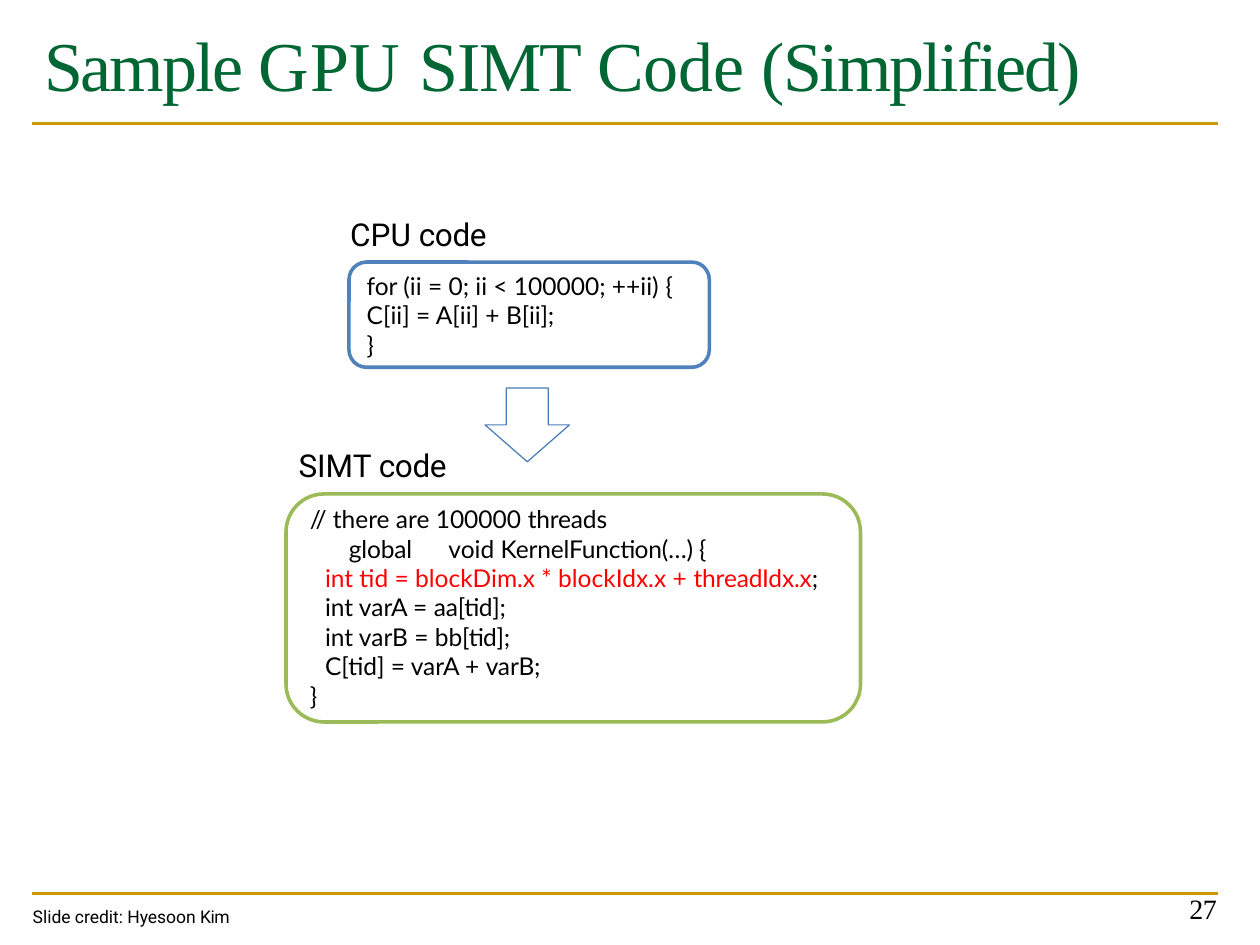
import dataclasses
import typing

import pptx
import pptx.dml.color
import pptx.enum.shapes
import pptx.oxml
import pptx.oxml.ns
import pptx.util

RGB = pptx.dml.color.RGBColor
SHAPE = pptx.enum.shapes.MSO_SHAPE
Pt = pptx.util.Pt
BLACK = RGB(0x00, 0x00, 0x00)
RED = RGB(0xFF, 0x00, 0x00)
GREEN = RGB(0x00, 0x66, 0x33)
GOLD = RGB(0xCC, 0x99, 0x00)
BLUE_EDGE = RGB(0x4F, 0x81, 0xBC)
GREEN_EDGE = RGB(0x9B, 0xBA, 0x58)
ARROW_EDGE = RGB(0x49, 0x7D, 0xBA)
CELL = pptx.util.Inches(0.1)  # grid of 100 columns by 75 rows


class Area(typing.NamedTuple):
    """Left, top, width and height in grid cells."""
    left: float
    top: float
    width: float
    height: float


class Style(typing.NamedTuple):
    name: str
    size: float
    color: RGB = BLACK


class Span(typing.NamedTuple):
    text: str
    spacing: float = 0
    color: typing.Optional[RGB] = None


@dataclasses.dataclass
class Line:
    spans: list[Span]
    style: Style
    indent: float = 0.1
    before: float = 0
    line_spacing: typing.Optional[float] = None
    tabs: tuple[float, ...] = ()


@dataclasses.dataclass
class TextBlock:
    area: Area
    lines: list[Line]
    top_inset: float = 0
    wrap: bool = False


@dataclasses.dataclass
class Outline:
    kind: SHAPE
    area: Area
    color: RGB
    weight: float


TITLE = Style("Times New Roman", 40, GREEN)
NUMBER = Style("Times New Roman", 16)
LABEL = Style("Roboto", 18)
CREDIT = Style("Roboto", 10)
CODE = Style("Lato", 14)

RULE_ROWS = (9.8, 70.9)
RULE_COLUMNS = (2.5, 96.7)

OUTLINES = [
    Outline(SHAPE.ROUNDED_RECTANGLE, Area(27.7, 20.8, 28.6, 8.35), BLUE_EDGE, 2.04),
    Outline(SHAPE.ROUNDED_RECTANGLE, Area(22.7, 39.2, 45.6, 18.1), GREEN_EDGE, 2.04),
    Outline(SHAPE.DOWN_ARROW, Area(38.5, 30.8, 6.7, 5.85), ARROW_EDGE, 0.72),
]

BLOCKS = [
    TextBlock(Area(3.4, 1.6, 93.3, 6.9), [
        Line([Span("Sample ", -1.2), Span("GPU ", 0.5), Span("SIMT ", -0.8),
              Span("Code ", -0.1), Span("(Simplified)", -1.2)], TITLE),
    ], top_inset=0.1, wrap=True),
    TextBlock(Area(27.7, 15.2, 28.3, 13.4), [
        Line([Span("CPU "), Span("code", -0.2)], LABEL),
        Line([Span("for (ii = 0; ii < 100000; ++ii) "), Span("{", -0.5)], CODE, 1.4, before=10),
        Line([Span("C[ii] = A[ii] + "), Span("B[ii];", -0.1)], CODE, 1.4),
        Line([Span("}", -0.5)], CODE, 1.4),
    ], top_inset=1.9),
    TextBlock(Area(23.6, 35.3, 43.6, 21.2), [
        Line([Span("SIMT "), Span("code", -0.2)], LABEL),
        Line([Span("// there are 100000 "), Span("threads", -0.1)], CODE, 1, before=11.6),
        Line([Span("\t"), Span("global", -0.1), Span("\tvoid "),
              Span("KernelFunction(…) ", -0.1), Span("{", -0.5)], CODE, 1, tabs=(3.1, 11)),
        Line([Span("int tid = blockDim.x * blockIdx.x + ", 0, RED),
              Span("threadIdx.x", -0.1, RED), Span(";", -0.1)], CODE, 2.2),
        Line([Span("int varA = "), Span("aa[tid];", -0.1)], CODE, 2.2),
        Line([Span("int varB = "), Span("bb[tid];", -0.1)], CODE, 2.2),
        Line([Span("C[tid] = varA + "), Span("varB;", -0.1)], CODE, 2.2),
        Line([Span("}", -0.5)], CODE, 1),
    ], top_inset=0.1),
    TextBlock(Area(94, 70.9, 3, 2.9),
              [Line([Span("27", -0.2)], NUMBER, 0.4, line_spacing=17.9)]),
    TextBlock(Area(2.5, 71.9, 16.1, 1.8),
              [Line([Span("Slide credit: Hyesoon "), Span("Kim", -0.2)], CREDIT)]),
]


def cells(count: float) -> int:
    return round(count * CELL)


def set_format(target: typing.Any, values: dict[str, typing.Any]) -> None:
    for name, value in values.items():
        setattr(target, name, value)


def draw_rule(s: typing.Any, row: float) -> None:
    left, right = map(cells, RULE_COLUMNS)
    sp = s.shapes.add_connector(pptx.enum.shapes.MSO_CONNECTOR.STRAIGHT,
                                left, cells(row), right, cells(row))
    sp.line.color.rgb = GOLD
    sp.line.width = Pt(1.56)
    sp._element.spPr.append(
        pptx.oxml.parse_xml(f'<a:effectLst {pptx.oxml.ns.nsdecls("a")}/>'))


def draw_outline(s: typing.Any, outline: Outline) -> None:
    sp = s.shapes.add_shape(outline.kind, *map(cells, outline.area))
    sp.shadow.inherit = False
    sp.fill.background()
    sp.line.color.rgb = outline.color
    sp.line.width = Pt(outline.weight)


def add_tabs(p: typing.Any, stops: tuple[float, ...]) -> None:
    tabs = "".join(f'<a:tab pos="{cells(stop)}" algn="l"/>' for stop in stops)
    p._p.get_or_add_pPr().append(pptx.oxml.parse_xml(
        f'<a:tabLst {pptx.oxml.ns.nsdecls("a")}>{tabs}</a:tabLst>'))


def write_line(p: typing.Any, line: Line) -> None:
    p._p.get_or_add_pPr().set("marL", str(cells(line.indent)))
    if line.before:
        p.space_before = Pt(line.before)
    if line.line_spacing:
        p.line_spacing = Pt(line.line_spacing)
    if line.tabs:
        add_tabs(p, line.tabs)
    for span in line.spans:
        r = p.add_run()
        r.text = span.text
        set_format(r.font, {"name": line.style.name, "size": Pt(line.style.size)})
        r.font.color.rgb = span.color or line.style.color
        if span.spacing:
            r._r.get_or_add_rPr().set("spc", str(round(span.spacing * 100)))


def draw_text(s: typing.Any, block: TextBlock) -> None:
    tf = s.shapes.add_textbox(*map(cells, block.area)).text_frame
    set_format(tf, {"margin_left": 0, "margin_right": 0, "margin_bottom": 0,
                    "margin_top": cells(block.top_inset), "word_wrap": block.wrap})
    for index, line in enumerate(block.lines):
        write_line(tf.add_paragraph() if index else tf.paragraphs[0], line)


def main() -> None:
    prs = pptx.Presentation()
    set_format(prs, {"slide_width": cells(100), "slide_height": cells(75)})
    s = prs.slides.add_slide(prs.slide_layouts[6])
    for row in RULE_ROWS:
        draw_rule(s, row)
    for outline in OUTLINES:
        draw_outline(s, outline)
    for block in BLOCKS:
        draw_text(s, block)
    prs.save("out.pptx")


if __name__ == "__main__":
    main()
